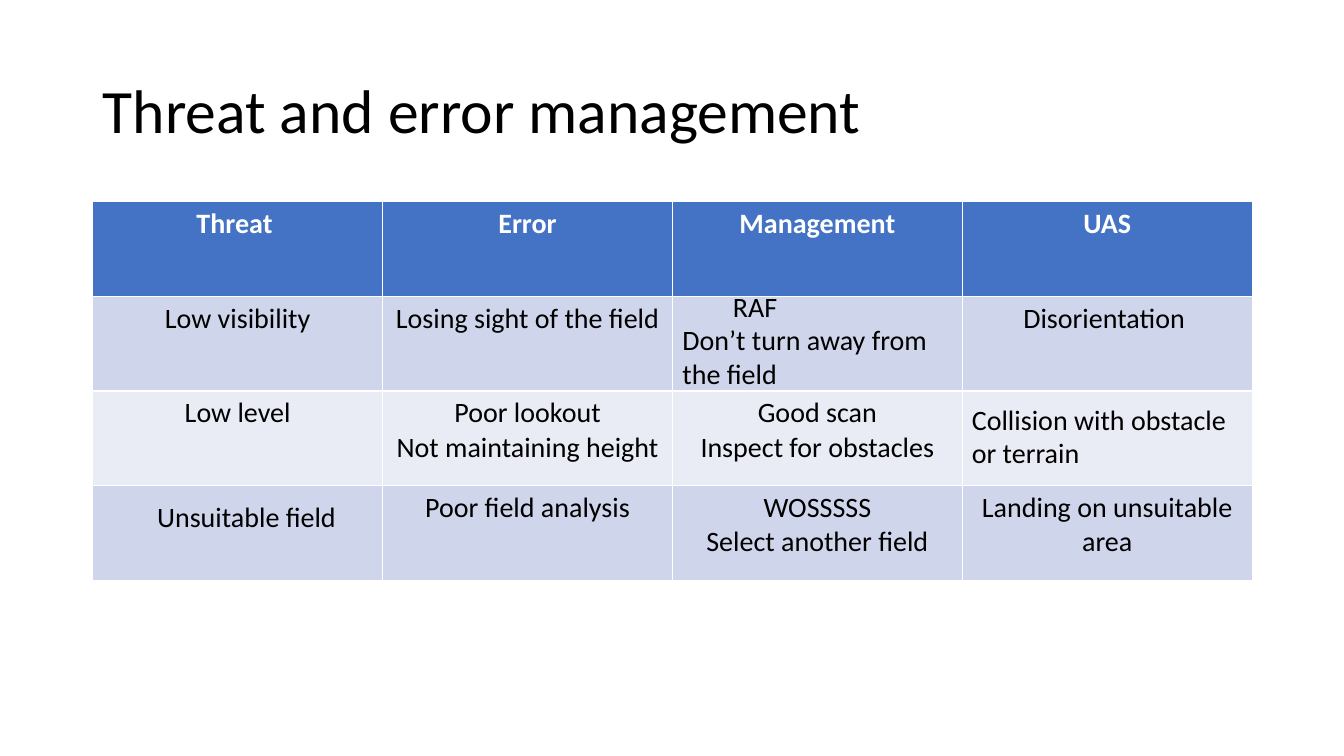
import pptx
import pptx.util
import pptx.dml.color
import pptx.enum.text

Inches = pptx.util.Inches
ALIGN = pptx.enum.text.PP_ALIGN
ANCHOR = pptx.enum.text.MSO_ANCHOR


def color(code):
    return pptx.dml.color.RGBColor.from_string(code)


def style(frame, size, ink, align, bold=False):
    for para in frame.paragraphs:
        para.alignment = align
        for run in para.runs:
            run.font.name = "Calibri"
            run.font.size = pptx.util.Pt(size)
            run.font.bold = bold
            run.font.color.rgb = color(ink)


deck = pptx.Presentation()
deck.slide_width = Inches(13.33)
deck.slide_height = Inches(7.5)
slide = deck.slides.add_slide(deck.slide_layouts[5])

title = slide.shapes.title
title.left, title.top = Inches(0.92), Inches(0.4)
title.width, title.height = Inches(11.5), Inches(1.45)
title.text_frame.text = "Threat and error management"
title.text_frame.vertical_anchor = ANCHOR.MIDDLE
title.text_frame.paragraphs[0].line_spacing = 0.9
style(title.text_frame, 44, "000000", ALIGN.LEFT)

# Three cells stay empty: their wording sits in the notes laid over the table.
rows = [
    ["Threat ", "Error", "Management", "UAS"],
    ["Low visibility", "Losing sight of the field", "", "Disorientation "],
    ["Low level", "Poor lookout\nNot maintaining height",
     "Good scan\nInspect for obstacles", ""],
    ["", "Poor field analysis", "WOSSSSS\nSelect another field",
     "Landing on unsuitable area"],
]
fills = ["4472C4", "CFD5EA", "E9EBF5", "CFD5EA"]

table = slide.shapes.add_table(
    4, 4, Inches(0.92), Inches(2), Inches(11.5), Inches(3.76)).table
for r, row in enumerate(rows):
    head = r == 0
    for c, text in enumerate(row):
        cell = table.cell(r, c)
        cell.fill.solid()
        cell.fill.fore_color.rgb = color(fills[r])
        cell.text_frame.text = text
        style(cell.text_frame, 20, "FFFFFF" if head else "000000",
              ALIGN.CENTER, head)

notes = [
    ("\tRAF\nDon’t turn away from\nthe field", 6.67, 2.82, 2.88, 1.11, True),
    ("Collision with obstacle\nor terrain", 9.54, 3.94, 2.81, 0.77, False),
    ("Unsuitable field", 1.46, 4.91, 2, 0.44, False),
]
for text, left, top, width, height, wrap in notes:
    note = slide.shapes.add_textbox(
        Inches(left), Inches(top), Inches(width), Inches(height))
    frame = note.text_frame
    frame.text = text
    frame.word_wrap = wrap
    frame.auto_size = pptx.enum.text.MSO_AUTO_SIZE.SHAPE_TO_FIT_TEXT
    style(frame, 20, "000000", ALIGN.LEFT)

deck.save("out.pptx")
